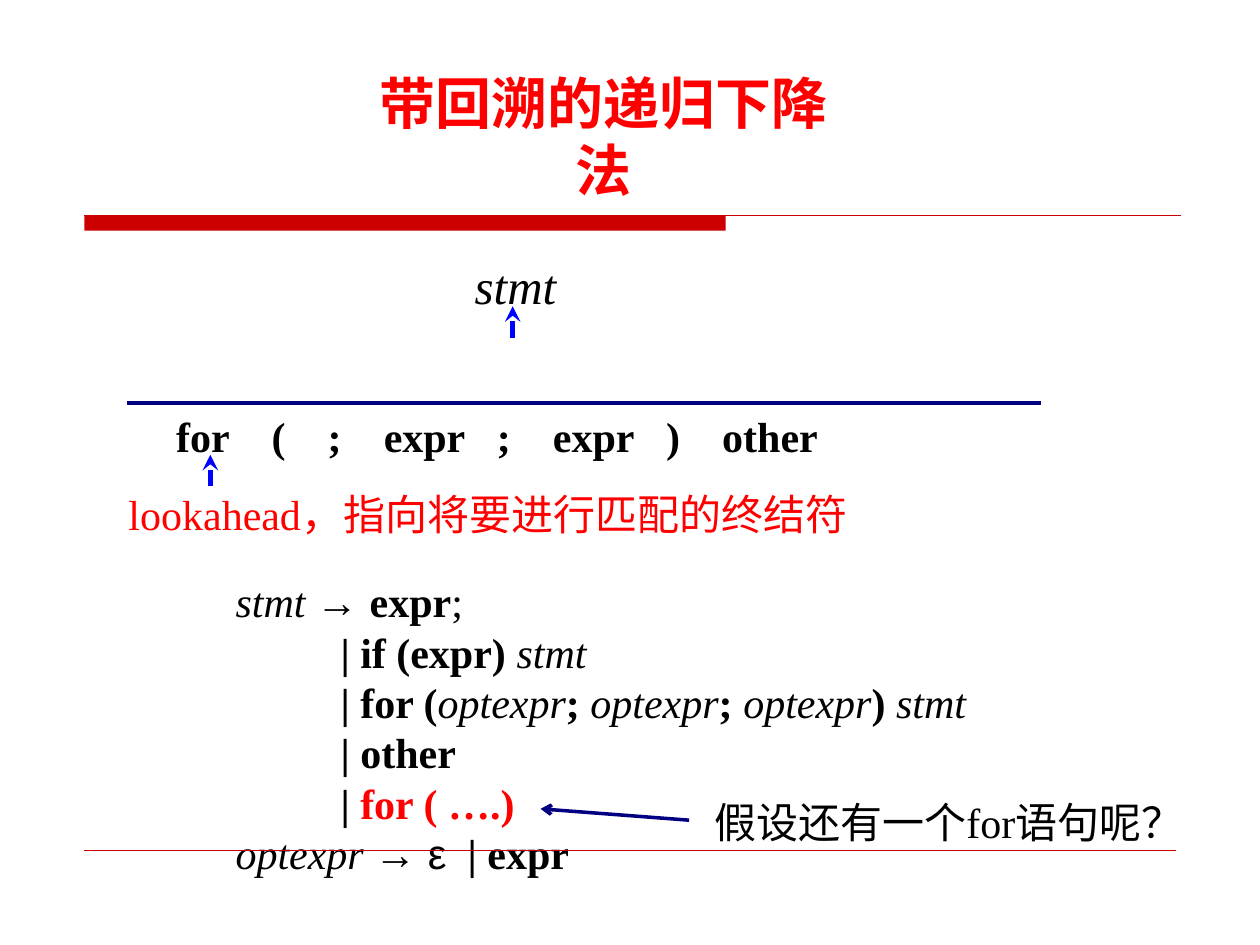
import pptx
import pptx.dml.color
import pptx.enum.shapes
import pptx.enum.text
import pptx.oxml.ns
import lxml.etree

Pt = pptx.util.Pt
hex_color = pptx.dml.color.RGBColor.from_string
qn = pptx.oxml.ns.qn
ALIGN = pptx.enum.text.PP_ALIGN
ANCHOR = pptx.enum.text.MSO_ANCHOR
RED, BLACK, NAVY, BLUE, CRIMSON = "FF0000", "000000", "000080", "0000FF", "CC0000"


def add_line(start, end, color, width, arrow=None):
    """Draw a line; arrow is an optional (end tag, arrowhead type) pair."""
    line = slide.shapes.add_connector(
        pptx.enum.shapes.MSO_CONNECTOR.STRAIGHT,
        Pt(start[0]), Pt(start[1]), Pt(end[0]), Pt(end[1]))
    line.line.color.rgb = hex_color(color)
    line.line.width = Pt(width)
    if arrow:
        head = lxml.etree.SubElement(line.line._get_or_add_ln(), qn("a:" + arrow[0]))
        head.set("type", arrow[1])
    lxml.etree.SubElement(line._element.spPr, qn("a:effectLst"))


def format_font(font, size, color, bold=False, italic=False, face="Times New Roman"):
    font.name = face
    font.size = Pt(size)
    font.color.rgb = hex_color(color)
    font.bold = bold
    font.italic = italic


presentation = pptx.Presentation()
presentation.slide_width, presentation.slide_height = Pt(720), Pt(540)
slide = presentation.slides.add_slide(presentation.slide_layouts[1])

# Title
title = slide.shapes.title
title.left, title.top, title.width, title.height = Pt(193.7), Pt(54.7), Pt(302.4), Pt(46)
title.text_frame.text = "带回溯的递归下降法"
title.text_frame.word_wrap = False
title.text_frame.auto_size = pptx.enum.text.MSO_AUTO_SIZE.NONE
title.text_frame.vertical_anchor = ANCHOR.MIDDLE
title.text_frame.paragraphs[0].alignment = ALIGN.CENTER
format_font(title.text_frame.paragraphs[0].runs[0].font, 32, RED, bold=True)

# Rules under the title and at the foot
title_bar = slide.shapes.add_shape(
    pptx.enum.shapes.MSO_SHAPE.RECTANGLE, Pt(48.2), Pt(123.1), Pt(366.5), Pt(8.7))
title_bar.shadow.inherit = False
title_bar.fill.solid()
title_bar.fill.fore_color.rgb = hex_color(CRIMSON)
title_bar.line.fill.background()
add_line((48.2, 123.1), (674.6, 123.1), CRIMSON, 0.75)
add_line((48.2, 486), (672, 486), CRIMSON, 0.25)

# Parse tree root, input tokens and remarks
TOKENS = "for\t(\t;\texpr\t;\texpr\t)\tother"
TOKEN_STOPS = (54.6, 86.6, 118.6, 183.3, 215.3, 280, 312)
labels = [
    # text, left, top, width, size, color, bold, italic, alignment
    ("stmt", 264.2, 142.7, 90, 28, BLACK, False, True, ALIGN.LEFT),
    (TOKENS, 93.6, 230.8, 381, 24, BLACK, True, False, ALIGN.LEFT),
    ("lookahead，指向将要进行匹配的终结符", 63.4, 275.8, 430.6, 24, RED, False, False, ALIGN.CENTER),
    ("假设还有一个for语句呢？", 395.3, 451.4, 293.8, 24, BLACK, False, False, ALIGN.CENTER),
]
for text, left, top, width, size, color, bold, italic, alignment in labels:
    label = slide.shapes.add_textbox(Pt(left), Pt(top), Pt(width), Pt(36)).text_frame
    label.word_wrap = False
    paragraph = label.paragraphs[0]
    paragraph.text = text
    paragraph.alignment = alignment
    if text == TOKENS:
        stops = lxml.etree.SubElement(paragraph._p.get_or_add_pPr(), qn("a:tabLst"))
        for position in TOKEN_STOPS:
            lxml.etree.SubElement(stops, qn("a:tab"), pos=str(Pt(position)), algn="l")
    for run in paragraph.runs:
        format_font(run.font, size, color, bold, italic)

# Input line and the two moving pointers
add_line((72.7, 230.4), (594.7, 230.4), NAVY, 2)
for x, y in [(293, 193), (120.2, 277.9)]:
    add_line((x, y), (x, y - 18), BLUE, 3, ("tailEnd", "stealth"))

# Grammar: i = italic, b = bold, r = bold red, s = Arial, p = plain
grammar = [
    (0, [("stmt ", "i"), ("→ ", "s"), ("expr", "b"), (";", "p")]),
    (60, [("| if (expr) ", "b"), ("stmt", "i")]),
    (60, [("| for (", "b"), ("optexpr", "i"), ("; ", "b"), ("optexpr", "i"),
          ("; ", "b"), ("optexpr", "i"), (") ", "b"), ("stmt", "i")]),
    (60, [("| other", "b")]),
    (60, [("| ", "b"), ("for ( ….)", "r")]),
    (0, [("optexpr ", "i"), ("→ ε", "s"), ("  | expr", "b")]),
]
productions = slide.placeholders[1]
productions.left, productions.top = Pt(127.4), Pt(325.4)
productions.width, productions.height = Pt(481.7), Pt(180)
frame = productions.text_frame
frame.word_wrap = True
frame.auto_size = pptx.enum.text.MSO_AUTO_SIZE.NONE
frame.vertical_anchor = ANCHOR.BOTTOM
for number, (indent, parts) in enumerate(grammar):
    paragraph = frame.paragraphs[0] if number == 0 else frame.add_paragraph()
    properties = paragraph._p.get_or_add_pPr()
    properties.set("marL", str(Pt(indent)))
    properties.set("indent", "0")
    lxml.etree.SubElement(properties, qn("a:buNone"))
    paragraph.space_before = Pt(0)
    paragraph.line_spacing = Pt(28.8)
    for text, style in parts:
        run = paragraph.add_run()
        run.text = text
        format_font(run.font, 24, RED if style == "r" else BLACK,
                    bold=style in "br", italic=style == "i",
                    face="Arial" if style == "s" else "Times New Roman")

# Arrow from the remark to the extra alternative
add_line((308.9, 462.2), (393.8, 468.7), NAVY, 2, ("headEnd", "arrow"))

presentation.save("out.pptx")
